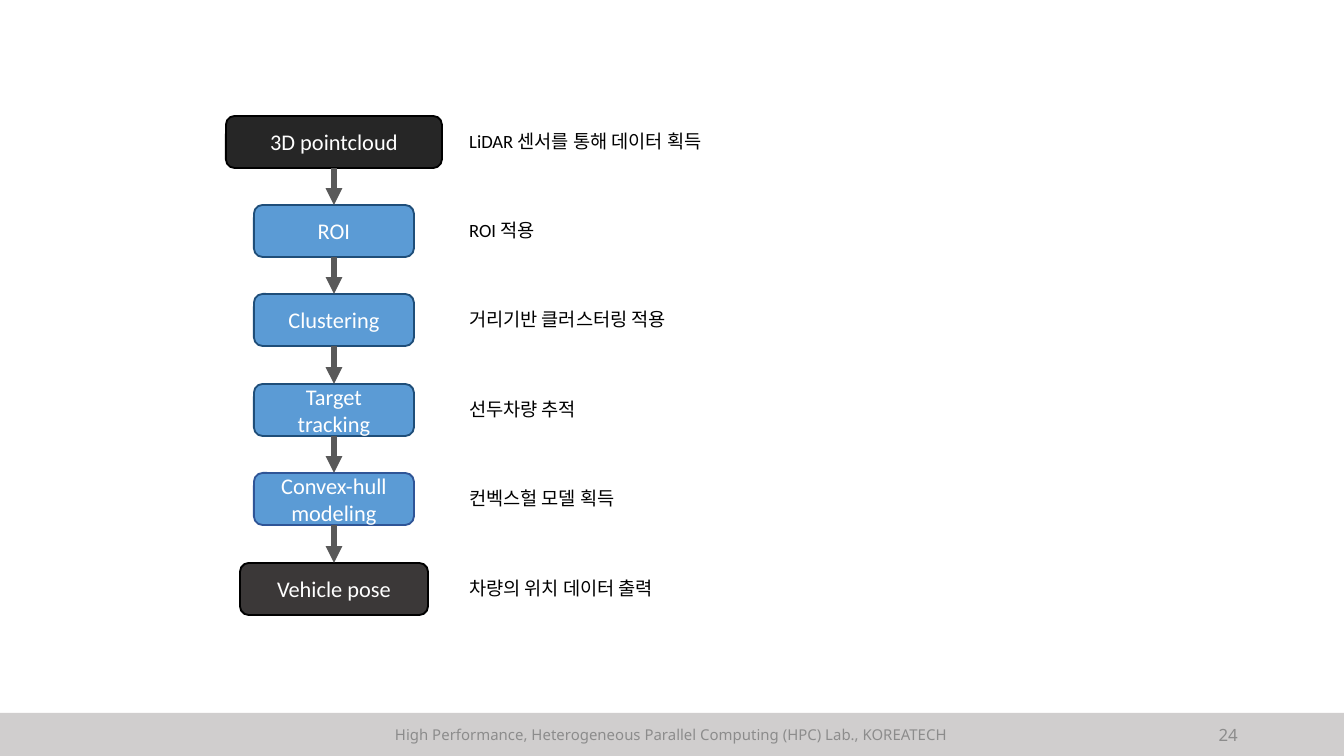
from lxml import etree
from pptx import Presentation
from pptx import util as u
from pptx.dml.color import RGBColor
from pptx.enum import shapes, text
from pptx.oxml.ns import qn

PX = 914400 / 134.4
WIDE, HIGH = 1344, 756
MID, TOP, BOX_H = 334, 116, 52
HUES = {
    "band": "D0CECE", "foot": "8C8C8C", "white": "FFFFFF", "black": "000000",
    "input": "262626", "output": "3B3838", "step": "5B9BD5",
    "navy": "1F4E79", "blue": "2F5597", "arrow": "595959",
}
# box lines, box width, fill, outline, note, note width
STEPS = [
    (["3D pointcloud"], 216, "input", "black", "LiDAR 센서를 통해 데이터 획득", 277),
    (["ROI"], 160, "step", "navy", "ROI 적용", 97),
    (["Clustering"], 160, "step", "navy", "거리기반 클러스터링 적용", 243),
    (["Target tracking"], 160, "step", "navy", "선두차량 추적", 144),
    (["Convex-hull", "modeling"], 160, "step", "blue", "컨벡스헐 모델 획득", 187),
    (["Vehicle pose"], 188, "output", "black", "차량의 위치 데이터 출력", 228),
]


def px(n):
    return u.Emu(round(n * PX))


def hue(name):
    return RGBColor.from_string(HUES[name])


def write(frame, lines, size, color, align, font="Calibri"):
    for i, line in enumerate(lines):
        para = frame.paragraphs[0] if i == 0 else frame.add_paragraph()
        para.alignment = align
        run = para.add_run()
        run.text = line
        run.font.size = u.Pt(size)
        run.font.name = font
        run.font.color.rgb = hue(color)


def add_band(slide):
    band = slide.shapes.add_shape(
        shapes.MSO_SHAPE.RECTANGLE, 0, px(713), px(WIDE), px(HIGH - 713))
    band.shadow.inherit = False
    band.fill.solid()
    band.fill.fore_color.rgb = hue("band")
    band.line.fill.background()


def add_foot(slide, left, width, line, size, align):
    frame = slide.shapes.add_textbox(px(left), px(715), px(width), px(40)).text_frame
    frame.word_wrap = True
    frame.vertical_anchor = text.MSO_ANCHOR.MIDDLE
    write(frame, [line], size, "foot", align, "Noto Sans")


def add_box(slide, top, width, lines, fill, edge):
    box = slide.shapes.add_shape(
        shapes.MSO_SHAPE.ROUNDED_RECTANGLE,
        px(MID - width // 2), px(top), px(width), px(BOX_H))
    box.shadow.inherit = False
    box.fill.solid()
    box.fill.fore_color.rgb = hue(fill)
    box.line.color.rgb = hue(edge)
    box.line.width = u.Pt(1)
    box.text_frame.word_wrap = True
    box.text_frame.vertical_anchor = text.MSO_ANCHOR.MIDDLE
    write(box.text_frame, lines, 12, "white", text.PP_ALIGN.CENTER)
    return box


def add_note(slide, top, width, line):
    frame = slide.shapes.add_textbox(px(456), px(top), px(width), px(36)).text_frame
    frame.word_wrap = False
    frame.auto_size = text.MSO_AUTO_SIZE.SHAPE_TO_FIT_TEXT
    write(frame, [line], 10, "black", text.PP_ALIGN.LEFT)


def add_arrow(slide, upper, lower):
    """Join the bottom of one box to the top of the next."""
    arrow = slide.shapes.add_connector(shapes.MSO_CONNECTOR.STRAIGHT, 0, 0, 0, 0)
    arrow.begin_connect(upper, 2)
    arrow.end_connect(lower, 0)
    arrow.line.color.rgb = hue("arrow")
    arrow.line.width = u.Pt(3)
    etree.SubElement(arrow.line._get_or_add_ln(), qn("a:tailEnd"), type="triangle")
    etree.SubElement(arrow._element.spPr, qn("a:effectLst"))


def main():
    deck = Presentation()
    deck.slide_width, deck.slide_height = px(WIDE), px(HIGH)
    slide = deck.slides.add_slide(deck.slide_layouts[6])

    add_band(slide)
    add_foot(slide, 189, 965,
             "High Performance, Heterogeneous Parallel Computing (HPC) Lab., KOREATECH",
             8, text.PP_ALIGN.CENTER)
    add_foot(slide, 1176, 75, "24", 9, text.PP_ALIGN.RIGHT)

    boxes = []
    for i, (lines, width, fill, edge, note, span) in enumerate(STEPS):
        top = TOP + i * 447 // 5
        boxes.append(add_box(slide, top, width, lines, fill, edge))
        add_note(slide, top + 7, span, note)
    for upper, lower in zip(boxes, boxes[1:]):
        add_arrow(slide, upper, lower)

    deck.save("out.pptx")


if __name__ == "__main__":
    main()
